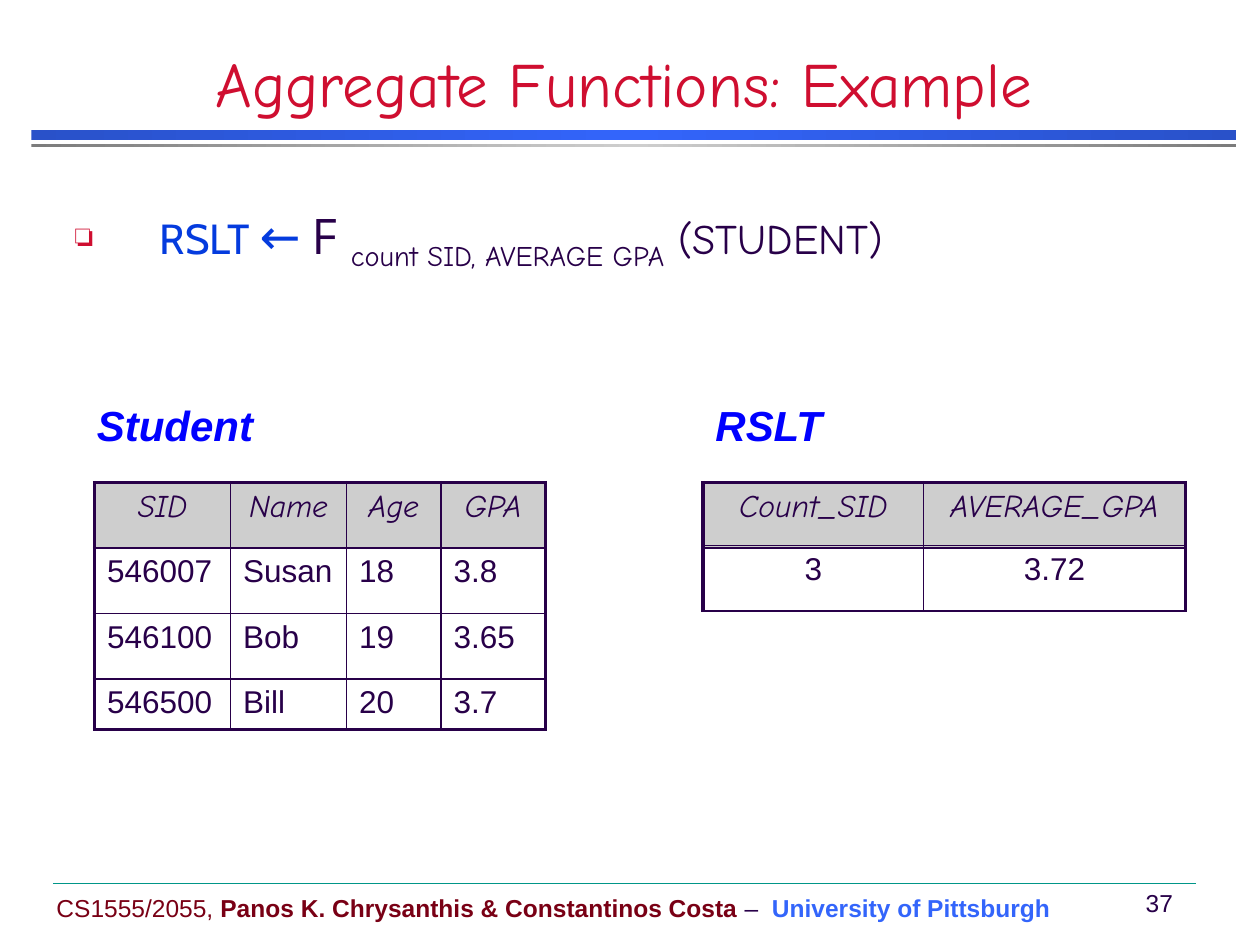
from dataclasses import dataclass
from itertools import accumulate
from typing import Optional

from lxml import etree
from pptx import Presentation
from pptx.dml.color import RGBColor
from pptx.enum.shapes import MSO_CONNECTOR, MSO_SHAPE
from pptx.enum.text import MSO_ANCHOR, PP_ALIGN
from pptx.oxml.ns import qn
from pptx.util import Inches, Pt

LEFT, CENTER = PP_ALIGN.LEFT, PP_ALIGN.CENTER
TOP, MIDDLE, BOTTOM = MSO_ANCHOR.TOP, MSO_ANCHOR.MIDDLE, MSO_ANCHOR.BOTTOM
RECTANGLE, STRAIGHT = MSO_SHAPE.RECTANGLE, MSO_CONNECTOR.STRAIGHT

INK = RGBColor(0x28, 0x00, 0x49)
RED = RGBColor(0xCF, 0x0E, 0x30)
MAROON = RGBColor(0x79, 0x00, 0x15)
SKY = RGBColor(0x33, 0x65, 0xFB)
NAVY = RGBColor(0x29, 0x51, 0xC9)
FORMULA_BLUE = RGBColor(0x04, 0x3B, 0xDE)
CAPTION_BLUE = RGBColor(0x00, 0x00, 0xFF)
SILVER = RGBColor(0xCE, 0xCE, 0xCE)
GRAY = RGBColor(0x7C, 0x7C, 0x7C)
TEAL = RGBColor(0x00, 0x96, 0x88)

HAND, SANS = "Comic Neue", "Arial"
THICK, THIN = 2.25, 1
STUDENT_LEFT, RESULT_LEFT = 0.75, 5.58
TABLE_TOP, CAPTION_TOP = 3.83, 3.17
ROW = 0.52


@dataclass
class Span:
    """A run of text with its look."""
    text: str
    size: float
    font: str = SANS
    color: RGBColor = INK
    bold: bool = False
    italic: bool = False
    baseline: int = 0


@dataclass
class TextBox:
    """A one-paragraph text box, in inches."""
    left: float
    top: float
    width: float
    height: float
    spans: list[Span]
    align: PP_ALIGN = LEFT
    anchor: MSO_ANCHOR = TOP
    bullet: Optional[str] = None
    line_spacing: Optional[float] = None


@dataclass
class Grid:
    """A table; the top and bottom edges have their own widths."""
    left: float
    top: float
    columns: list[float]
    rows: list[float]
    values: list[list[str]]
    header: bool = True
    body_align: PP_ALIGN = LEFT
    top_edge: float = THICK
    bottom_edge: float = THIN


@dataclass
class Bar:
    """A horizontal rule shaded from its edges to its middle."""
    top: float
    height: float
    edge: RGBColor
    middle: RGBColor


def write(para, spans: list[Span]) -> None:
    """Add the spans to a paragraph run by run."""
    for span in spans:
        run = para.add_run()
        run.text = span.text
        font = run.font
        font.size, font.name = Pt(span.size), span.font
        font.bold, font.italic = span.bold, span.italic
        font.color.rgb = span.color
        if span.baseline:
            font._element.set("baseline", str(span.baseline * 1000))


def add_bullet(para, mark: str) -> None:
    """Give a paragraph a red hanging bullet."""
    props = para._p.get_or_add_pPr()
    indent = Inches(0.67)
    props.set("marL", str(indent))
    props.set("indent", str(-indent))
    color = etree.SubElement(props, qn("a:buClr"))
    etree.SubElement(color, qn("a:srgbClr"), val=str(RED))
    etree.SubElement(props, qn("a:buSzPct"), val="75000")
    etree.SubElement(props, qn("a:buChar"), char=mark)


def draw_text(page, item: TextBox) -> None:
    """Draw a text box."""
    box = page.shapes.add_textbox(*map(Inches, (item.left, item.top, item.width, item.height)))
    frame = box.text_frame
    frame.word_wrap = True
    frame.vertical_anchor = item.anchor
    para = frame.paragraphs[0]
    para.alignment = item.align
    if item.line_spacing:
        para.line_spacing = item.line_spacing
    if item.bullet:
        add_bullet(para, item.bullet)
    write(para, item.spans)


def draw_bar(page, bar: Bar) -> None:
    """Draw a rule with a three-stop gradient."""
    shape = page.shapes.add_shape(RECTANGLE, *map(Inches, (0.25, bar.top, 9.56, bar.height)))
    shape.shadow.inherit = False
    shape.line.fill.background()
    shape.fill.gradient()
    shape.fill.gradient_angle = 0
    stops = shape._element.spPr.find(qn("a:gradFill")).find(qn("a:gsLst"))
    for stop in list(stops):
        stops.remove(stop)
    for share, color in ((0, bar.edge), (50, bar.middle), (100, bar.edge)):
        stop = etree.SubElement(stops, qn("a:gs"), pos=str(share * 1000))
        etree.SubElement(stop, qn("a:srgbClr"), val=str(color))


def set_borders(cell, widths: dict[str, float]) -> None:
    """Draw the cell's sides; the sides go before its fill."""
    props = cell._tc.get_or_add_tcPr()
    for index, (side, width) in enumerate(widths.items()):
        line = etree.Element(qn(f"a:ln{side}"), w=str(Pt(width)))
        fill = etree.SubElement(line, qn("a:solidFill"))
        etree.SubElement(fill, qn("a:srgbClr"), val=str(INK))
        props.insert(index, line)


def draw_grid(page, grid: Grid) -> None:
    """Draw a table with thick outer sides."""
    last_row, last_column = len(grid.rows) - 1, len(grid.columns) - 1
    size = (sum(grid.columns), sum(grid.rows))
    table = page.shapes.add_table(last_row + 1, last_column + 1,
                                  *map(Inches, (grid.left, grid.top, *size))).table
    table.first_row = table.horz_banding = False
    for column, width in zip(table.columns, grid.columns):
        column.width = Inches(width)
    for row, height in zip(table.rows, grid.rows):
        row.height = Inches(height)
    for r, values in enumerate(grid.values):
        for c, value in enumerate(values):
            cell = table.cell(r, c)
            heading = grid.header and r == 0
            if heading:
                cell.fill.solid()
                cell.fill.fore_color.rgb = SILVER
            else:
                cell.fill.background()
            para = cell.text_frame.paragraphs[0]
            para.alignment = CENTER if heading else grid.body_align
            write(para, [Span(value, 18, HAND if heading else SANS, italic=heading)])
            set_borders(cell, {"L": THICK if c == 0 else THIN,
                               "R": THICK if c == last_column else THIN,
                               "T": grid.top_edge if r == 0 else THIN,
                               "B": grid.bottom_edge if r == last_row else THIN})


def draw_footer_line(page) -> None:
    """Draw the hairline above the footer."""
    line = page.shapes.add_connector(STRAIGHT, *map(Inches, (0.42, 7.01, 9.49, 7.01)))
    line.line.color.rgb = TEAL
    line.line.width = Pt(0.25)
    etree.SubElement(line._element.spPr, qn("a:effectLst"))


def caption(left: float, text: str) -> TextBox:
    """Return the caption above a table."""
    spans = [Span(text, 24, color=CAPTION_BLUE, bold=True, italic=True)]
    return TextBox(left, CAPTION_TOP, 2, 0.47, spans, line_spacing=0.9)


BARS = [Bar(1.03, 0.08, NAVY, SKY), Bar(1.14, 0.03, GRAY, SILVER)]
FORMULA = [Span("RSLT ", 24, "Cabin", FORMULA_BLUE), Span("← ", 28, "Cabin", FORMULA_BLUE),
           Span("F", 28, "Open Sans"), Span(" ", 24, HAND),
           Span("count SID, AVERAGE GPA", 28, HAND, baseline=-25),
           Span(" (STUDENT)", 24, HAND)]
FOOTER = [Span("CS1555/2055, ", 14, color=MAROON),
          Span("Panos K. Chrysanthis & Constantinos Costa", 14, color=MAROON, bold=True),
          Span(" –  ", 14), Span("University of Pittsburgh", 14, color=SKY, bold=True)]
TEXTS = [TextBox(0.35, 7.04, 8.4, 0.33, FOOTER, anchor=MIDDLE),
         TextBox(8.93, 7, 0.49, 0.33, [Span(" 37", 14)], CENTER, MIDDLE),
         TextBox(0, 0.42, 9.9, 0.58, [Span("Aggregate Functions: Example", 36, HAND, RED)],
                 CENTER, BOTTOM),
         TextBox(0.5, 1.58, 8.92, 5, FORMULA, bullet="❏"),
         caption(0.67, "Student"), caption(RESULT_LEFT, "RSLT")]
STUDENTS = [["SID", "Name", "Age", "GPA"], ["546007", "Susan", "18", "3.8"],
            ["546100", "Bob", "19", "3.65"], ["546500", "Bill", "20", "3.7"]]
RESULT_TOPS = list(accumulate([TABLE_TOP, 0.5]))
RESULT_COLUMNS = [1.75, 2.08]
GRIDS = [Grid(STUDENT_LEFT, TABLE_TOP, [1.08, 0.92, 0.75, 0.83], [ROW] * 3 + [0.4], STUDENTS,
              bottom_edge=THICK),
         Grid(RESULT_LEFT, RESULT_TOPS[0], RESULT_COLUMNS, [ROW], [["Count_SID", "AVERAGE_GPA"]]),
         Grid(RESULT_LEFT, RESULT_TOPS[1], RESULT_COLUMNS, [ROW], [["3", "3.72"]],
              header=False, body_align=CENTER, top_edge=THIN)]

deck = Presentation()
deck.slide_width, deck.slide_height = Inches(10), Inches(7.5)
page = deck.slides.add_slide(deck.slide_layouts[6])
for bar in BARS:
    draw_bar(page, bar)
draw_footer_line(page)
for item in TEXTS:
    draw_text(page, item)
for grid in GRIDS:
    draw_grid(page, grid)
deck.save("out.pptx")
